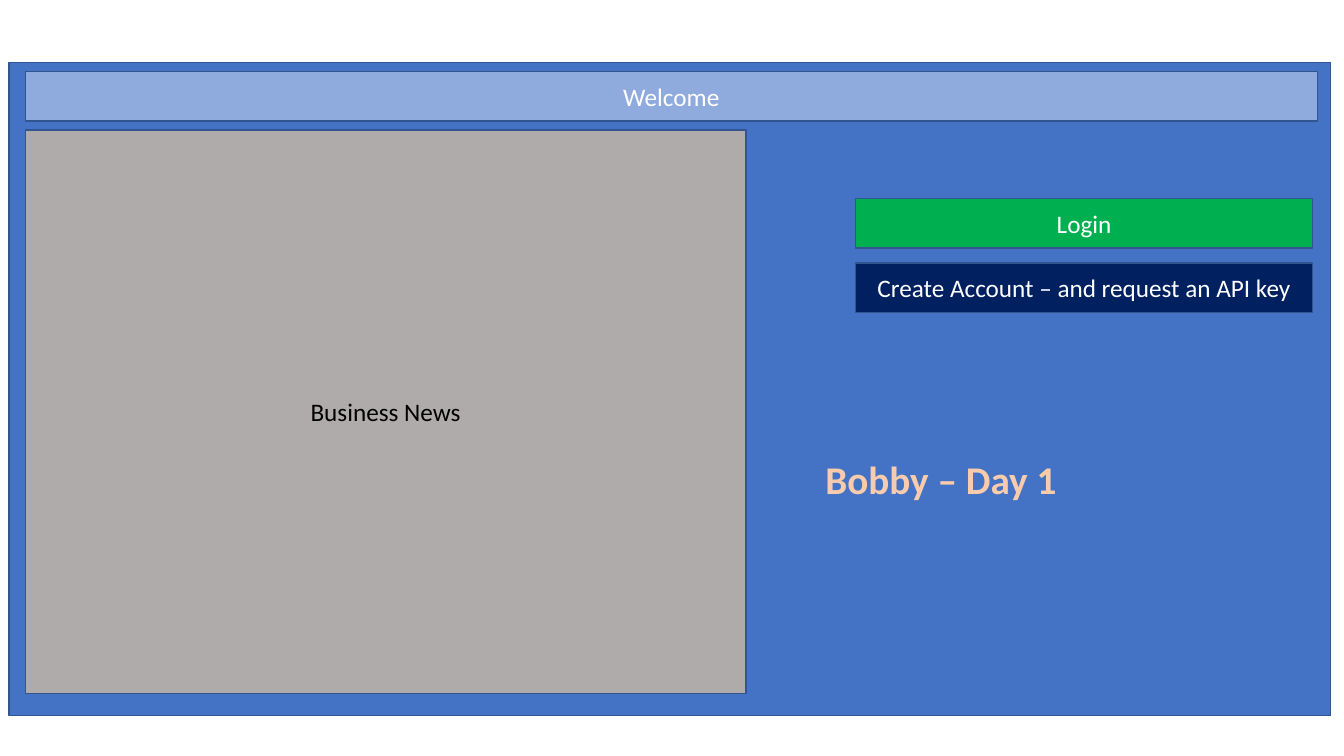
from lxml import etree
from pptx import Presentation
from pptx.dml.color import RGBColor
from pptx.enum.shapes import MSO_SHAPE
from pptx.enum.text import MSO_ANCHOR, MSO_AUTO_SIZE, PP_ALIGN
from pptx.oxml.ns import qn
from pptx.util import Pt

RECT = MSO_SHAPE.RECTANGLE
MIDDLE = MSO_ANCHOR.MIDDLE
CENTER = PP_ALIGN.CENTER
GROW = MSO_AUTO_SIZE.SHAPE_TO_FIT_TEXT

COLORS = {
    "page": "4472C4",
    "border": "325491",
    "login": "00B050",
    "news": "AFABAB",
    "account": "002060",
    "header": "8FAADC",
    "white": "FFFFFF",
    "black": "000000",
    "peach": "F8CBAD",
    "orange": "ED7D31",
}
BODY = {"name": "Calibri", "size": Pt(18)}
HEADING = {"name": "Calibri", "size": Pt(28), "bold": True}

MARGIN = 18
BAR_H = 35.3
BUTTON_X, BUTTON_Y, BUTTON_W = 611.3, 141.8, 326.2
BUTTON_STEP = 46.1
BUTTONS = [("Login", "login"), ("Create Account – and request an API key", "account")]


def rgb(name):
    return RGBColor.from_string(COLORS[name])


def write(sp, text, color, fmt):
    tf = sp.text_frame
    tf.word_wrap = True
    p = tf.paragraphs[0]
    p.alignment = CENTER
    r = p.add_run()
    r.text = text
    for key, value in fmt.items():
        setattr(r.font, key, value)
    r.font.color.rgb = rgb(color)
    return r


def add_box(s, x, y, w, h, fill, text=None, color="white"):
    sp = s.shapes.add_shape(RECT, Pt(x), Pt(y), Pt(w), Pt(h))
    sp.shadow.inherit = False
    sp.fill.solid()
    sp.fill.fore_color.rgb = rgb(fill)
    sp.line.color.rgb = rgb("border")
    sp.line.width = Pt(1)
    if text:
        sp.text_frame.vertical_anchor = MIDDLE
        write(sp, text, color, BODY)


def outline(r, color, width):
    ln = etree.Element(qn("a:ln"), w=str(Pt(width)))
    fill = etree.SubElement(ln, qn("a:solidFill"))
    etree.SubElement(fill, qn("a:srgbClr"), val=COLORS[color])
    r.font._element.insert(0, ln)


def add_heading(s, x, y, w, h, text):
    sp = s.shapes.add_textbox(Pt(x), Pt(y), Pt(w), Pt(h))
    r = write(sp, text, "peach", HEADING)
    sp.text_frame.auto_size = GROW
    outline(r, "orange", 1.75)


def main():
    prs = Presentation()
    prs.slide_width, prs.slide_height = Pt(960), Pt(540)
    s = prs.slides.add_slide(prs.slide_layouts[6])
    add_box(s, 6.5, 44.6, 943.9, 466.6, "page")
    add_box(s, MARGIN, 51.1, 923, BAR_H, "header", "Welcome")
    add_box(s, MARGIN, 92.9, 514.8, 402.5, "news", "Business News", "black")
    for i, (text, fill) in enumerate(BUTTONS):
        add_box(s, BUTTON_X, BUTTON_Y + i * BUTTON_STEP, BUTTON_W, BAR_H, fill, text)
    add_heading(s, 532.8, 321.8, 278.6, 41, "Bobby – Day 1")
    prs.save("out.pptx")


if __name__ == "__main__":
    main()
